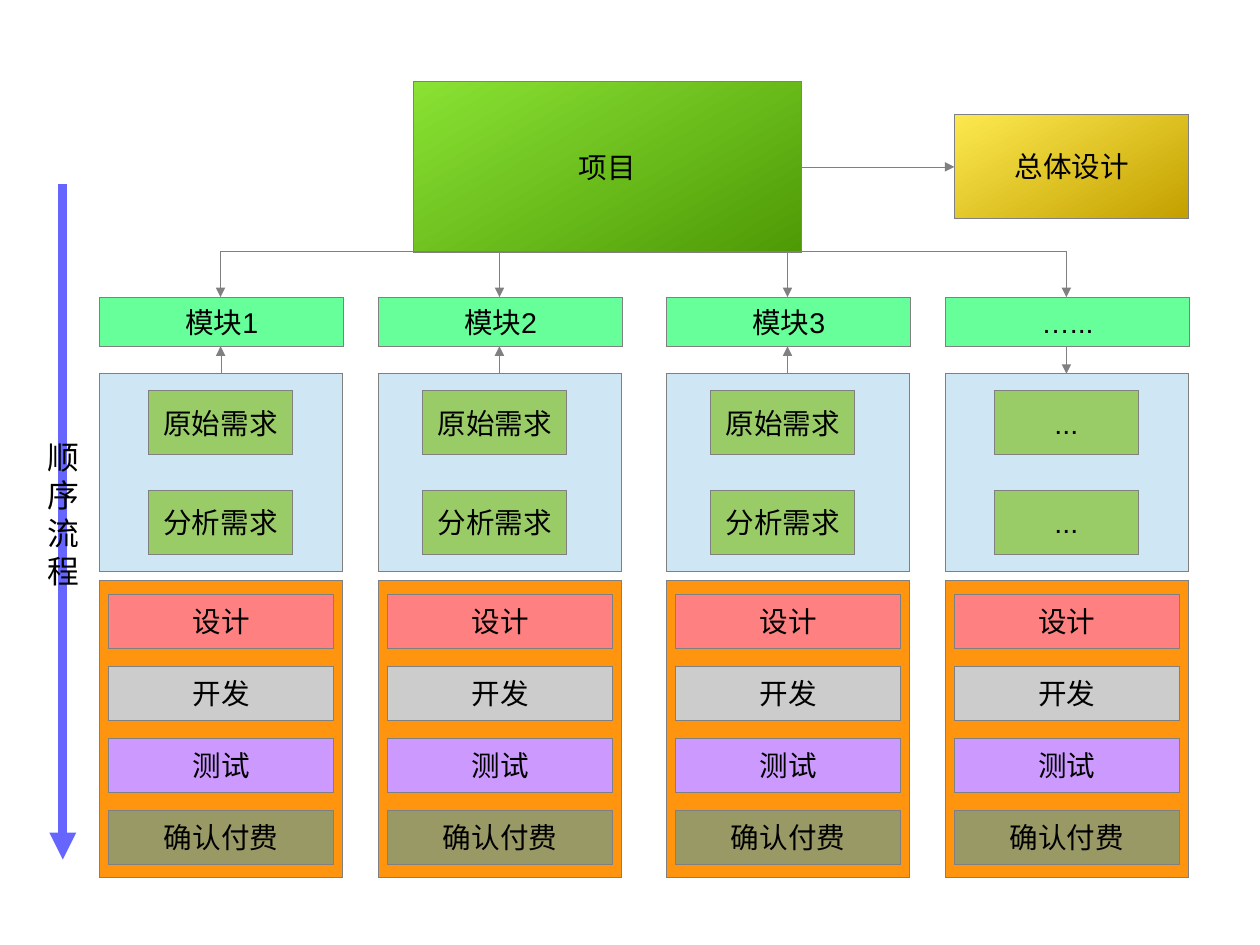
"""Build a project flow slide: one project, four modules and their steps."""
from dataclasses import dataclass

from lxml import etree
from pptx import Presentation, util as u
from pptx.dml.color import RGBColor
from pptx.enum import shapes, text
from pptx.oxml import ns

FONT = "Arial"
BORDER = "808080"
BLACK = "000000"


@dataclass
class Box:
    left: float
    top: float
    width: float
    height: float
    fill: str
    label: str = ""
    gradient_end: str = ""


@dataclass
class Arrow:
    start: tuple[float, float]
    end: tuple[float, float]
    bent: bool = False
    color: str = BORDER
    weight: float = 0


@dataclass
class Module:
    left: float
    name: str
    requirements: tuple[str, str]
    requirement_inset: float
    points_up: bool = True


@dataclass
class Step:
    label: str
    fill: str


def rgb(color: str) -> RGBColor:
    """Convert a hex string to a colour."""
    return RGBColor.from_string(color)


def format_line(shape, color: str, weight: float):
    """Set line colour and width, writing a zero width explicitly, and return the outline."""
    shape.line.color.rgb = rgb(color)
    outline = shape._element.spPr.find(ns.qn("a:ln"))
    outline.set("w", str(int(u.Pt(weight))))
    return outline


def format_text(frame, size: int, alignment) -> None:
    """Give every paragraph of a text frame the slide's font."""
    frame.word_wrap = False
    for paragraph in frame.paragraphs:
        paragraph.alignment = alignment
        for run in paragraph.runs:
            run.font.name = FONT
            run.font.size = u.Pt(size)
            run.font.color.rgb = rgb(BLACK)


def draw_box(slide, box: Box) -> None:
    """Draw a bordered rectangle with an optional label and gradient."""
    position = map(u.Inches, (box.left, box.top, box.width, box.height))
    shape = slide.shapes.add_shape(shapes.MSO_SHAPE.RECTANGLE, *position)
    shape.shadow.inherit = False
    format_line(shape, BORDER, 0)
    if box.gradient_end:
        shape.fill.gradient()
        shape.fill.gradient_angle = 300
        for stop, color in zip(shape.fill.gradient_stops, (box.fill, box.gradient_end)):
            stop.color.rgb = rgb(color)
    else:
        shape.fill.solid()
        shape.fill.fore_color.rgb = rgb(box.fill)
    if box.label:
        shape.text_frame.text = box.label
        shape.text_frame.vertical_anchor = text.MSO_ANCHOR.MIDDLE
        format_text(shape.text_frame, 18, text.PP_ALIGN.CENTER)


def draw_arrow(slide, arrow: Arrow) -> None:
    """Draw a straight or single-bend connector with a triangle at its end."""
    kind = shapes.MSO_CONNECTOR.ELBOW if arrow.bent else shapes.MSO_CONNECTOR.STRAIGHT
    ends = map(u.Inches, (*arrow.start, *arrow.end))
    connector = slide.shapes.add_connector(kind, *ends)
    outline = format_line(connector, arrow.color, arrow.weight)
    etree.SubElement(outline, ns.qn("a:tailEnd"), type="triangle")
    properties = connector._element.spPr
    if arrow.bent:
        properties.find(ns.qn("a:prstGeom")).set("prst", "bentConnector2")
    etree.SubElement(properties, ns.qn("a:effectLst"))


def draw_module(slide, module: Module) -> None:
    """Draw one module column with its requirements, steps and arrows."""
    left, center = module.left, module.left + 1.06
    draw_box(slide, Box(left, 2.6, 2.14, 0.43, "66FF99", module.name))
    draw_box(slide, Box(left, 3.27, 2.13, 1.73, "CFE7F5"))
    draw_box(slide, Box(left, 5.08, 2.13, 2.6, "FF950E"))
    for row, label in enumerate(module.requirements):
        draw_box(slide, Box(left + module.requirement_inset, 3.42 + 0.87 * row,
                            1.26, 0.56, "99CC66", label))
    for row, step in enumerate(STEPS):
        draw_box(slide, Box(left + 0.08, 5.2 + 0.63 * row, 1.97, 0.47,
                            step.fill, step.label))
    draw_arrow(slide, Arrow((5.32, 2.2), (center, 2.6), bent=True))
    lower, upper = (center, 3.27), (center, 3.03)
    draw_arrow(slide, Arrow(lower, upper) if module.points_up else Arrow(upper, lower))


def draw_flow_label(slide, label: str) -> None:
    """Write the flow label downwards, one character per paragraph."""
    position = map(u.Inches, (0.32, 3.78, 0.48, 1.71))
    frame = slide.shapes.add_textbox(*position).text_frame
    frame.text = "\n".join(label)
    format_text(frame, 20, text.PP_ALIGN.LEFT)


REQUIREMENTS = ("原始需求", "分析需求")
MODULES = [
    Module(0.87, "模块1", REQUIREMENTS, 0.43),
    Module(3.31, "模块2", REQUIREMENTS, 0.39),
    Module(5.83, "模块3", REQUIREMENTS, 0.39),
    Module(8.27, "…...", ("...", "..."), 0.43, points_up=False),
]
STEPS = [
    Step("设计", "FF8080"),
    Step("开发", "CCCCCC"),
    Step("测试", "CC99FF"),
    Step("确认付费", "999966"),
]


def main() -> None:
    """Build the slide and save it."""
    presentation = Presentation()
    presentation.slide_width = u.Cm(28)
    presentation.slide_height = u.Cm(21)
    slide = presentation.slides.add_slide(presentation.slide_layouts[6])
    draw_box(slide, Box(3.62, 0.71, 3.39, 1.5, "8AE234", "项目", "4E9A06"))
    draw_box(slide, Box(8.35, 1, 2.05, 0.91, "FCE94F", "总体设计", "C4A000"))
    draw_arrow(slide, Arrow((7.01, 1.46), (8.35, 1.46)))
    for module in MODULES:
        draw_module(slide, module)
    draw_arrow(slide, Arrow((0.55, 1.61), (0.55, 7.52), color="6666FF", weight=5.67))
    draw_flow_label(slide, "顺序流程")
    presentation.save("out.pptx")


main()
